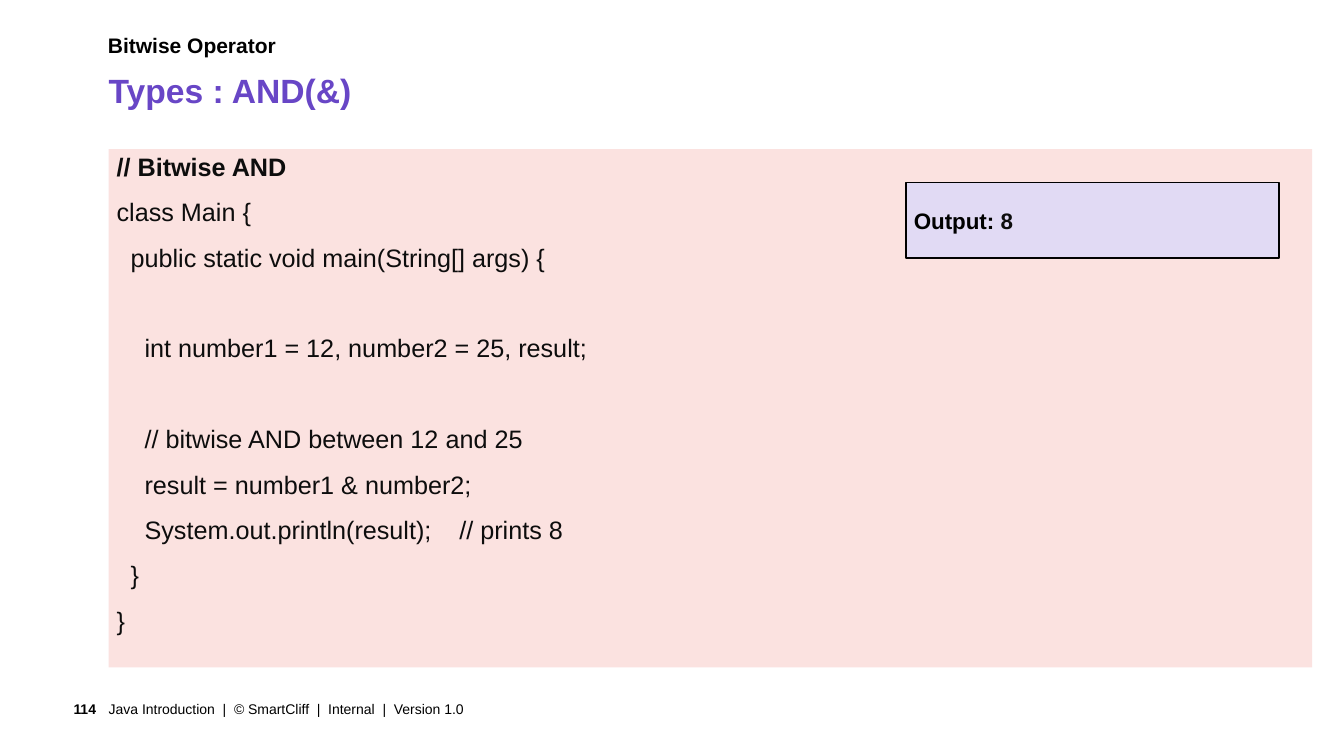
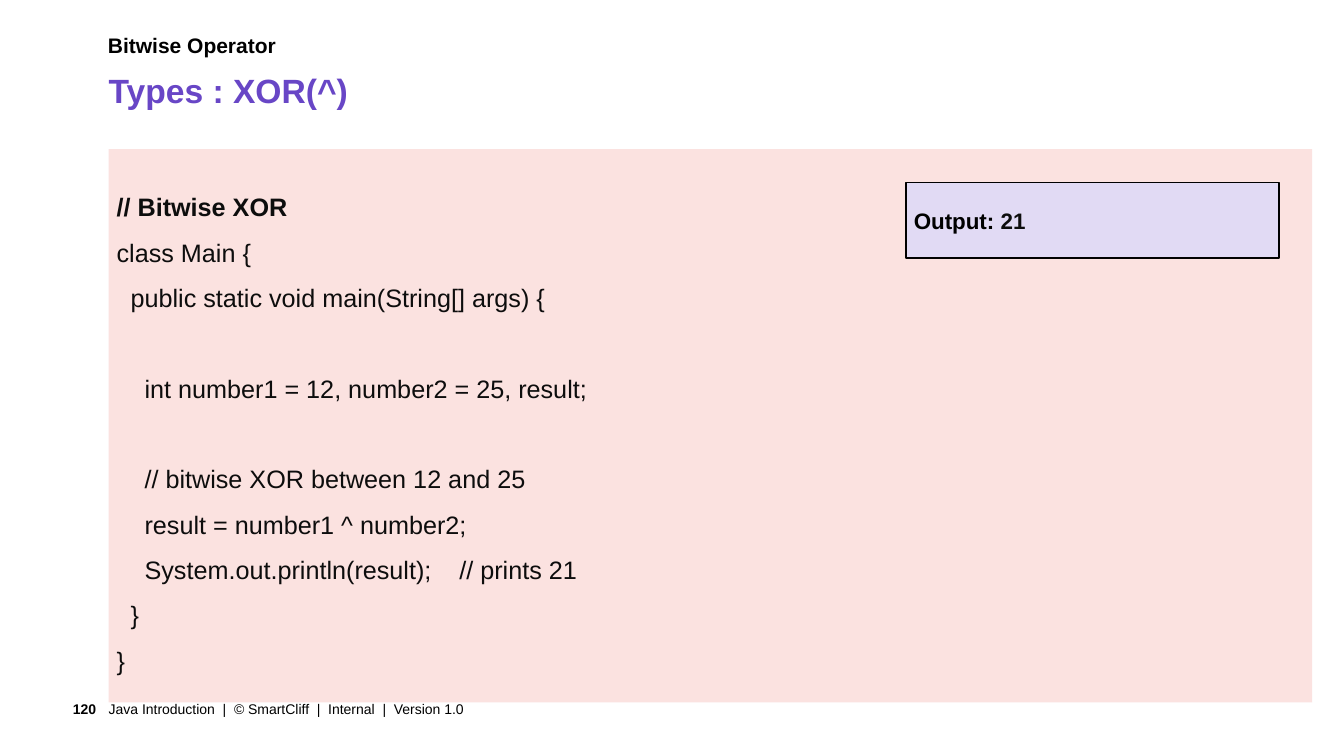
from dataclasses import dataclass

from pptx import Presentation
from pptx import util as u
from pptx.dml.color import RGBColor
from pptx.enum import shapes, text


@dataclass(frozen=True)
class Theme:
    font: str = "Arial"
    black: str = "000000"
    ink: str = "0D0D0D"
    accent: str = "6846C6"
    code_fill: str = "FBE2E0"
    output_fill: str = "E1DAF4"
    title_size: float = 24
    code_size: float = 18
    output_size: float = 16
    topic_size: float = 15
    footer_size: float = 10
    code_spacing: float = 1.5
    blank_line: float = 32.4  # height in points of one empty line of code


THEME = Theme()
LEFT, WIDTH = 2.74, 30.33
PAD = 0.2
FOOTER_TOP, FOOTER_HEIGHT = 17.48, 0.79
FOOTER = "Java Introduction  |  © SmartCliff  |  Internal  |  Version 1.0"

CODE = """// Bitwise {name}
class Main {{
  public static void main(String[] args) {{

    int number1 = 12, number2 = 25, result;

    // bitwise {name} between 12 and 25
    result = number1 {sign} number2;
    System.out.println(result);    // prints {result}
  }}
}}"""


def write(paragraph, words, *, size, color=THEME.black, bold=False):
    """Add one formatted run to a paragraph."""
    font = paragraph.add_run()
    font.text = words
    font = font.font
    font.name, font.size, font.bold = THEME.font, u.Pt(size), bold
    font.color.rgb = RGBColor.from_string(color)


def set_frame(shape, insets, anchor):
    """Set wrapping, insets (left, top, right, bottom) and anchor."""
    frame = shape.text_frame
    frame.word_wrap = True
    frame.vertical_anchor = anchor
    (frame.margin_left, frame.margin_top,
     frame.margin_right, frame.margin_bottom) = map(u.Cm, insets)
    return frame


def add_label(slide, box, words, *, insets=(0, 0, 0, 0),
              anchor=text.MSO_ANCHOR.TOP, align=text.PP_ALIGN.LEFT, **style):
    """Add a text box that holds one line."""
    label = slide.shapes.add_textbox(*map(u.Cm, box))
    line = set_frame(label, insets, anchor).paragraphs[0]
    line.alignment = align
    write(line, words, **style)


def add_panel(slide, box, fill, *, outline=None, bottom=PAD):
    """Add a filled rectangle and return its text frame."""
    panel = slide.shapes.add_shape(shapes.MSO_SHAPE.RECTANGLE, *map(u.Cm, box))
    panel.shadow.inherit = False
    panel.fill.solid()
    panel.fill.fore_color.rgb = RGBColor.from_string(fill)
    if outline:
        panel.line.color.rgb = RGBColor.from_string(outline)
        panel.line.width = u.Pt(1)
    else:
        panel.line.fill.background()
    return set_frame(panel, (PAD, PAD, PAD, bottom), text.MSO_ANCHOR.MIDDLE)


def add_code(slide, code, height, bottom):
    """Add the code panel; empty code lines become space before the next."""
    frame = add_panel(slide, (LEFT, 3.76, WIDTH, height), THEME.code_fill,
                      bottom=bottom)
    gap = 0
    for number, words in enumerate(code.splitlines()):
        if not words:
            gap += THEME.blank_line
            continue
        line = frame.add_paragraph() if number else frame.paragraphs[0]
        line.alignment = text.PP_ALIGN.LEFT
        line.line_spacing = THEME.code_spacing
        if gap:
            line.space_before = u.Pt(gap)
        write(line, words, size=THEME.code_size, color=THEME.ink,
              bold=number == 0)
        gap = 0


def add_output(slide, result):
    """Add the box with the program's output."""
    frame = add_panel(slide, (22.83, 4.6, 9.4, 1.9), THEME.output_fill,
                      outline=THEME.black)
    line = frame.paragraphs[0]
    line.alignment = text.PP_ALIGN.LEFT
    write(line, "Output: ", size=THEME.output_size, bold=True)
    write(line, result, size=THEME.output_size, color=THEME.ink, bold=True)


def add_operator_slide(deck, page, name, sign, result, height, bottom=PAD):
    slide = deck.slides.add_slide(deck.slide_layouts[6])
    # Footer
    footer = dict(anchor=text.MSO_ANCHOR.MIDDLE, size=THEME.footer_size)
    add_label(slide, (1.07, FOOTER_TOP, 1.65, FOOTER_HEIGHT), page,
              insets=(0.25, 0.13, 0.3, 0.13), align=text.PP_ALIGN.RIGHT,
              bold=True, **footer)
    add_label(slide, (LEFT, FOOTER_TOP, 23.77, FOOTER_HEIGHT), FOOTER,
              insets=(0, 0.13, 0.25, 0.13), **footer)
    # Heading
    add_label(slide, (LEFT, 1.75, WIDTH, 1.07), f"Types : {name}({sign})",
              size=THEME.title_size, color=THEME.accent, bold=True)
    add_label(slide, (2.72, 0.81, WIDTH, 1.04), "Bitwise Operator",
              size=THEME.topic_size, bold=True)
    # Program and its output
    code = CODE.format(name=name, sign=sign, result=result)
    add_code(slide, code, height, bottom)
    add_output(slide, result)


def main():
    deck = Presentation()
    deck.slide_width, deck.slide_height = u.Cm(33.87), u.Cm(19.05)
    add_operator_slide(deck, "114", "AND", "&", "8", 13.06, bottom=1.34)
    add_operator_slide(deck, "120", "XOR", "^", "21", 13.94)
    deck.save("out.pptx")


if __name__ == "__main__":
    main()
